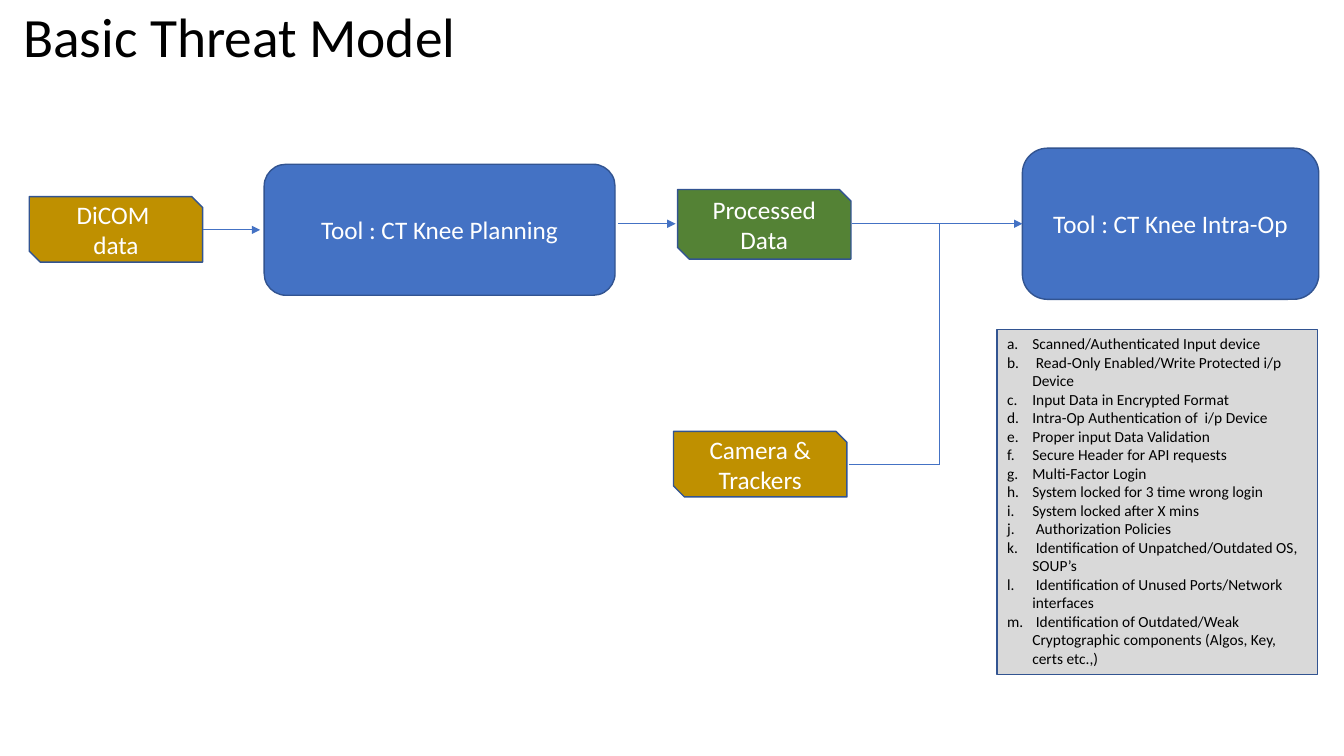
from lxml.etree import SubElement
from pptx import Presentation
from pptx.dml.color import RGBColor
from pptx.enum.shapes import MSO_CONNECTOR, MSO_SHAPE
from pptx.enum.text import MSO_ANCHOR, PP_ALIGN
from pptx.oxml.ns import qn
from pptx.util import Inches, Pt

BLUE, OUTLINE, GOLD, GREEN, GRAY = "4472C4", "325491", "BF9000", "548235", "D9D9D9"


def color(value):
    return RGBColor.from_string(value)


def write(shape, lines, size, font_color, alignment, anchor):
    text_frame = shape.text_frame
    text_frame.word_wrap = True
    text_frame.vertical_anchor = anchor
    text_frame.text = "\n".join(lines)
    for paragraph in text_frame.paragraphs:
        paragraph.alignment = alignment
        for run in paragraph.runs:
            run.font.name = "Calibri"
            run.font.size = Pt(size)
            run.font.color.rgb = color(font_color)


presentation = Presentation()
presentation.slide_width = Inches(13.33)
presentation.slide_height = Inches(7.5)
slide = presentation.slides.add_slide(presentation.slide_layouts[6])

# Title
title = slide.shapes.add_textbox(Inches(0.13), Inches(0.12), Inches(10.51), Inches(0.55))
write(title, ["Basic Threat Model"], 39.6, "000000", PP_ALIGN.LEFT, MSO_ANCHOR.MIDDLE)
title.text_frame.paragraphs[0].line_spacing = 0.9

# Systems, data boxes and the panel for the security controls
ROUND, SNIP, RECT = MSO_SHAPE.ROUNDED_RECTANGLE, MSO_SHAPE.SNIP_2_DIAG_RECTANGLE, MSO_SHAPE.RECTANGLE
boxes = {
    "processed": (SNIP, 6.72, 1.88, 1.72, 0.69, GREEN, ["Processed Data"]),
    "camera": (SNIP, 6.68, 4.28, 1.72, 0.65, GOLD, ["Camera & Trackers"]),
    "intra_op": (ROUND, 10.14, 1.47, 2.94, 1.5, BLUE, ["Tool : CT Knee Intra-Op"]),
    "planning": (ROUND, 2.62, 1.63, 3.48, 1.3, BLUE, ["Tool : CT Knee Planning"]),
    "dicom": (SNIP, 0.29, 1.95, 1.72, 0.65, GOLD, ["DiCOM ", "data"]),
    "controls": (RECT, 9.89, 3.27, 3.18, 3.42, GRAY, []),
}
shapes = {}
for name, (kind, left, top, width, height, fill, lines) in boxes.items():
    shape = slide.shapes.add_shape(kind, Inches(left), Inches(top), Inches(width), Inches(height))
    shape.shadow.inherit = False
    shape.fill.solid()
    shape.fill.fore_color.rgb = color(fill)
    shape.line.color.rgb = color(OUTLINE)
    shape.line.width = Pt(1)
    write(shape, lines, 18, "FFFFFF", PP_ALIGN.CENTER, MSO_ANCHOR.MIDDLE)
    shapes[name] = shape

# Lettered list of security controls
controls = [
    "Scanned/Authenticated Input device",
    " Read-Only Enabled/Write Protected i/p Device",
    "Input Data in Encrypted Format",
    "Intra-Op Authentication of  i/p Device",
    "Proper input Data Validation",
    "Secure Header for API requests",
    "Multi-Factor Login",
    "System locked for 3 time wrong login",
    "System locked after X mins",
    " Authorization Policies",
    " Identification of Unpatched/Outdated OS,  SOUP’s",
    " Identification of Unused Ports/Network  interfaces",
    " Identification of Outdated/Weak Cryptographic components (Algos, Key, certs etc.,)",
]
panel = shapes["controls"]
write(panel, controls, 11, "000000", PP_ALIGN.LEFT, MSO_ANCHOR.TOP)
for paragraph in panel.text_frame.paragraphs:
    properties = paragraph._p.get_or_add_pPr()
    properties.set("marL", str(Inches(0.25)))
    properties.set("indent", str(Inches(-0.25)))
    SubElement(properties, qn("a:buFont"), typeface="+mj-lt")
    SubElement(properties, qn("a:buAutoNum"), type="alphaLcPeriod")

# Data flows: start, end, arrowhead, system joined at its left side
flows = [
    (8.45, 2.22, 10.14, 2.22, True, "intra_op"),
    (8.42, 4.61, 9.32, 4.61, False, None),
    (9.32, 4.61, 9.32, 2.22, False, None),
    (2.01, 2.28, 2.58, 2.28, True, None),
    (6.13, 2.22, 6.7, 2.22, True, None),
]
for x1, y1, x2, y2, arrow, target in flows:
    connector = slide.shapes.add_connector(
        MSO_CONNECTOR.STRAIGHT, Inches(x1), Inches(y1), Inches(x2), Inches(y2))
    connector.line.color.rgb = color(BLUE)
    connector.line.width = Pt(0.5)
    if target:
        connector.end_connect(shapes[target], 1)
    if arrow:
        SubElement(connector.line._get_or_add_ln(), qn("a:tailEnd"), type="triangle")
    SubElement(connector._element.spPr, qn("a:effectLst"))

presentation.save("out.pptx")
